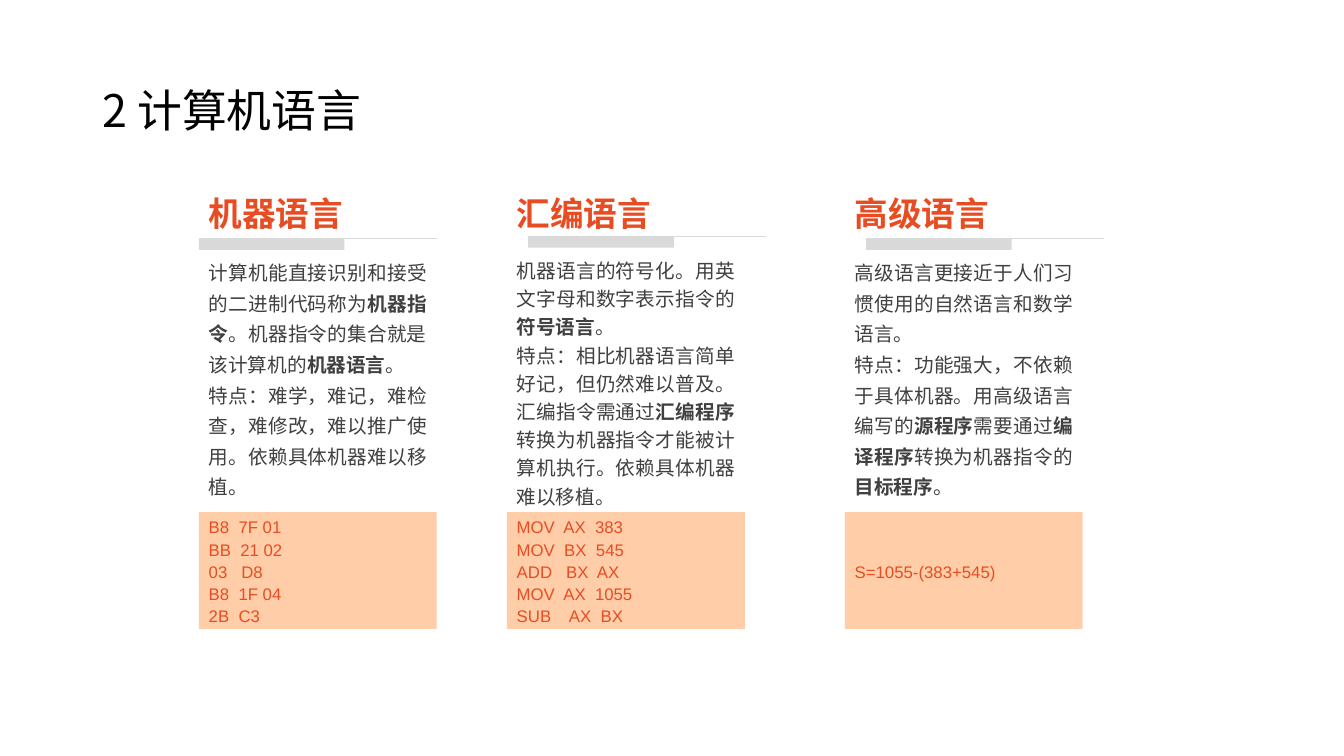
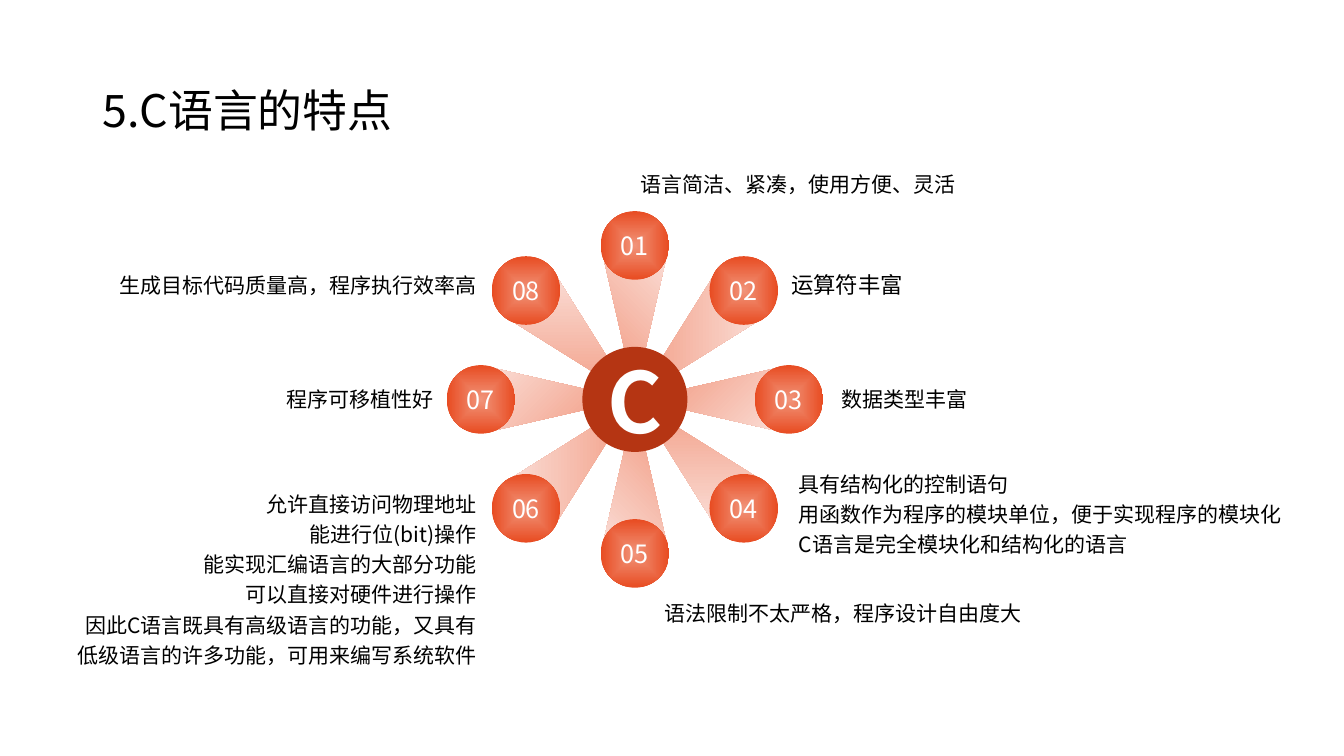
"""Builds two slides on computer languages and the traits of C."""
import math

from lxml import etree
from pptx import Presentation
from pptx import util as u
from pptx.dml.color import RGBColor
from pptx.enum import shapes, text
from pptx.oxml import ns, parse_xml

COLORS = {
    "ink": "000000", "body": "404040", "white": "FFFFFF", "accent": "E84C22",
    "core": "B53513", "code": "FFCEA9", "rule": "D9D9D9",
    "glow": "F1947A", "mist": "FADBD3",
}
CJK = "Noto Sans CJK SC"
LEFT, CENTER, RIGHT, JUSTIFY = (
    text.PP_ALIGN.LEFT, text.PP_ALIGN.CENTER, text.PP_ALIGN.RIGHT, text.PP_ALIGN.JUSTIFY)
TOP, MIDDLE, BOTTOM = text.MSO_ANCHOR.TOP, text.MSO_ANCHOR.MIDDLE, text.MSO_ANCHOR.BOTTOM
RECT, OVAL, TRIANGLE = (
    shapes.MSO_SHAPE.RECTANGLE, shapes.MSO_SHAPE.OVAL, shapes.MSO_SHAPE.ISOSCELES_TRIANGLE)
LINEAR = '<a:lin ang="2700000" scaled="0"/>'
RADIAL = '<a:path path="shape"><a:fillToRect l="50000" t="50000" r="50000" b="50000"/></a:path>'


class Deck:
    def __init__(self):
        self.prs = Presentation()
        self.prs.slide_width, self.prs.slide_height = u.Pt(960), u.Pt(540)
        self.slide = None

    def new_slide(self, title):
        self.slide = self.prs.slides.add_slide(self.prs.slide_layouts[6])
        self.label((66, 29, 828, 104), [title], 32, spacing=0.9)

    def set_text(self, shape, lines, size, color="ink", font=CJK, align=LEFT,
                 anchor=MIDDLE, spacing=1.0, bold=False, inset=None):
        frame = shape.text_frame
        frame.word_wrap = True
        frame.vertical_anchor = anchor
        if inset is not None:
            frame.margin_left = frame.margin_right = u.Pt(inset)
            frame.margin_top = frame.margin_bottom = u.Pt(inset)
        for index, line in enumerate(lines):
            para = frame.add_paragraph() if index else frame.paragraphs[0]
            para.alignment = align
            para.line_spacing = spacing
            for part, words in enumerate(line.split("*")):
                run = para.add_run()
                run.text = words
                run.font.size = u.Pt(size)
                run.font.bold = bold or part % 2 == 1
                run.font.color.rgb = RGBColor.from_string(COLORS[color])
                run.font.name = font
                east_asian = etree.SubElement(run.font._element, ns.qn("a:ea"))
                east_asian.set("typeface", font)

    def label(self, box, lines, size, **style):
        self.set_text(self.slide.shapes.add_textbox(*map(u.Pt, box)), lines, size, **style)

    def shape(self, kind, box, color=None):
        shape = self.slide.shapes.add_shape(kind, *map(u.Pt, box))
        shape.shadow.inherit = False
        shape.line.fill.background()
        if color:
            shape.fill.solid()
            shape.fill.fore_color.rgb = RGBColor.from_string(COLORS[color])
        return shape

    def gradient(self, shape, inner, outer, direction):
        shape.fill.background()
        properties = shape.element.spPr
        gradient = parse_xml(
            f'<a:gradFill {ns.nsdecls("a")} rotWithShape="1"><a:gsLst>'
            f'<a:gs pos="0"><a:srgbClr val="{COLORS[inner]}"/></a:gs>'
            f'<a:gs pos="99000"><a:srgbClr val="{COLORS[outer]}"/></a:gs>'
            f'</a:gsLst>{direction}</a:gradFill>')
        properties.replace(properties.find(ns.qn("a:noFill")), gradient)

    def line(self, x1, y1, x2, y2):
        line = self.slide.shapes.add_connector(
            shapes.MSO_CONNECTOR.STRAIGHT, *map(u.Pt, (x1, y1, x2, y2)))
        line.line.color.rgb = RGBColor.from_string(COLORS["rule"])
        line.line.width = u.Pt(0.5)
        etree.SubElement(line.element.spPr, ns.qn("a:effectLst"))

    def language(self, left, rule_left, rule_top, spacing, name, body, code):
        width = 170
        self.label((left, 136, width, 34), [name], 24, color="accent", bold=True, anchor=BOTTOM)
        self.label((left, 178, width, 193), body, 14, color="body",
                   align=JUSTIFY, anchor=TOP, spacing=spacing)
        self.set_text(self.shape(RECT, (left, 365.8, width, 83.5), "code"), code, 12,
                      color="accent", font="Arial", align=JUSTIFY, spacing=1.1)
        self.shape(RECT, (rule_left, rule_top, 104, 8), "rule")
        self.line(rule_left, rule_top, rule_left + width, rule_top)

    def wheel(self, x, y, count):
        def centered(radius, angle, width, height):
            return (x + radius * math.sin(angle) - width / 2,
                    y - radius * math.cos(angle) - height / 2, width, height)

        angles = [2 * math.pi * step / count for step in range(count)]
        for angle in angles:
            ray = self.shape(TRIANGLE, centered(52.8, angle, 45.4, 99.4))
            ray.rotation = math.degrees(angle)
            ray.element.spPr.find(ns.qn("a:xfrm")).set("flipV", "1")
            self.gradient(ray, "glow", "mist", LINEAR)
        for number, angle in enumerate(angles, 1):
            disc = self.shape(OVAL, centered(110, angle, 49, 49))
            self.gradient(disc, "glow", "accent", RADIAL)
            self.set_text(disc, [f"{number:02}"], 18, color="white", align=CENTER, inset=0)
        self.set_text(self.shape(OVAL, centered(0, 0, 75, 75), "core"), ["C"], 60,
                      color="white", align=CENTER, bold=True, inset=0)


LANGUAGES = [
    (142, 142, 170.5, 1.3, "机器语言",
     ["计算机能直接识别和接受的二进制代码称为*机器指令*。机器指令的集合就是该计算机的*机器语言*。",
      "特点：难学，难记，难检查，难修改，难以推广使用。依赖具体机器难以移植。"],
     ["B8  7F 01", "BB  21 02", "03   D8", "B8  1F 04", "2B  C3"]),
    (362, 377.3, 169, 1.2, "汇编语言",
     ["机器语言的符号化。用英文字母和数字表示指令的*符号语言*。",
      "特点：相比机器语言简单好记，但仍然难以普及。汇编指令需通过*汇编程序*"
      "转换为机器指令才能被计算机执行。依赖具体机器难以移植。"],
     ["MOV  AX  383", "MOV  BX  545", "ADD   BX  AX", "MOV  AX  1055", "SUB    AX  BX"]),
    (603.4, 618.7, 170.5, 1.3, "高级语言",
     ["高级语言更接近于人们习惯使用的自然语言和数学语言。",
      "特点：功能强大，不依赖于具体机器。用高级语言编写的*源程序*需要通过*编译程序*"
      "转换为机器指令的*目标程序*。"],
     ["S=1055-(383+545)"]),
]

TRAITS = [
    ((440, 115, 257, 29), 15, CENTER, BOTTOM, [" 语言简洁、紧凑，使用方便、灵活"]),
    ((558, 187, 101, 29), 16, LEFT, MIDDLE, ["运算符丰富"]),
    ((591, 269, 130, 29), 15, LEFT, MIDDLE, [" 数据类型丰富"]),
    ((563.5, 351, 369, 29), 15, LEFT, MIDDLE,
     ["具有结构化的控制语句", "用函数作为程序的模块单位，便于实现程序的模块化",
      "C语言是完全模块化和结构化的语言"]),
    ((467, 422, 270, 29), 15, CENTER, TOP, ["语法限制不太严格，程序设计自由度大"]),
    ((40, 338.5, 307.5, 147), 15, RIGHT, MIDDLE,
     ["允许直接访问物理地址", "能进行位(bit)操作", "能实现汇编语言的大部分功能",
      "可以直接对硬件进行操作",
      "因此C语言既具有高级语言的功能，又具有低级语言的许多功能，可用来编写系统软件"]),
    ((189, 269, 128, 29), 15, RIGHT, MIDDLE, ["程序可移植性好"]),
    ((74, 187, 273.5, 29), 15, RIGHT, MIDDLE, ["生成目标代码质量高，程序执行效率高"]),
]


def main():
    deck = Deck()
    deck.new_slide("2 计算机语言")
    for language in LANGUAGES:
        deck.language(*language)
    deck.new_slide("5.C语言的特点")
    deck.wheel(453.5, 285.3, len(TRAITS))
    for box, size, align, anchor, lines in TRAITS:
        deck.label(box, lines, size, align=align, anchor=anchor, spacing=1.2)
    deck.prs.save("out.pptx")


if __name__ == "__main__":
    main()
